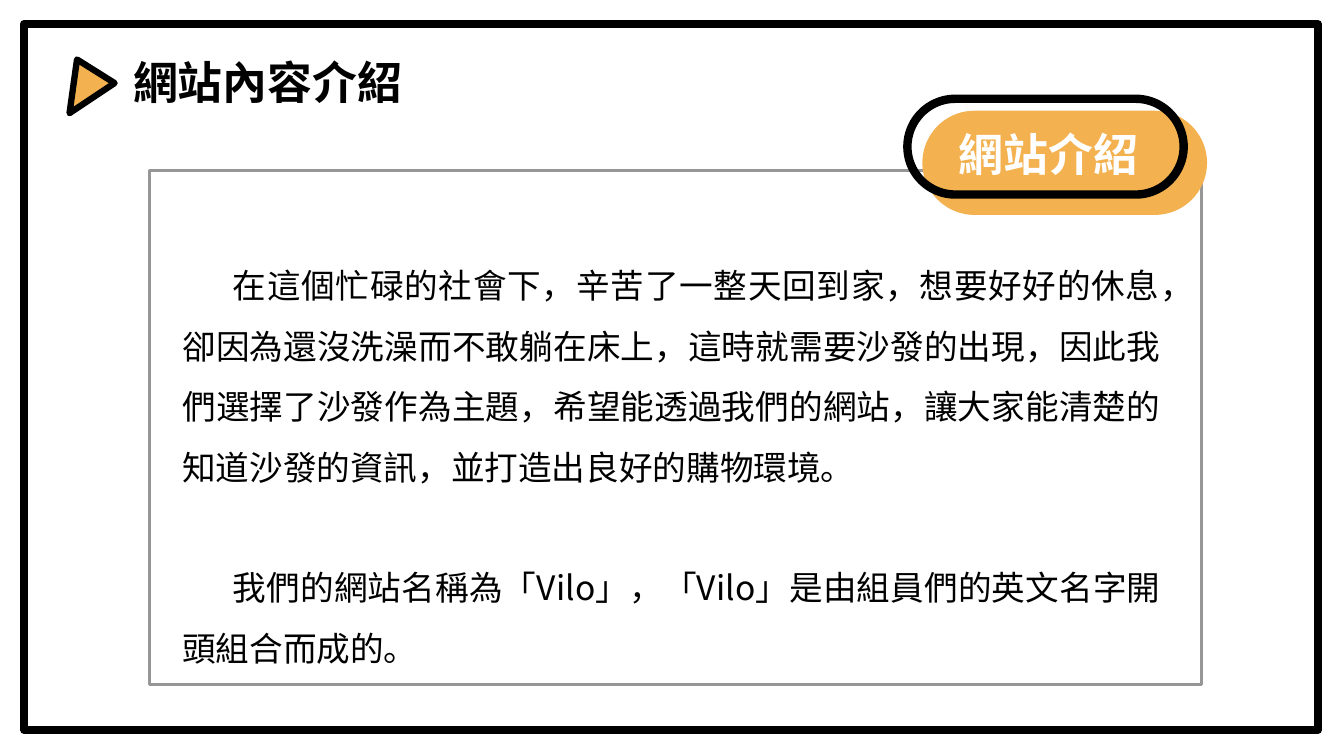
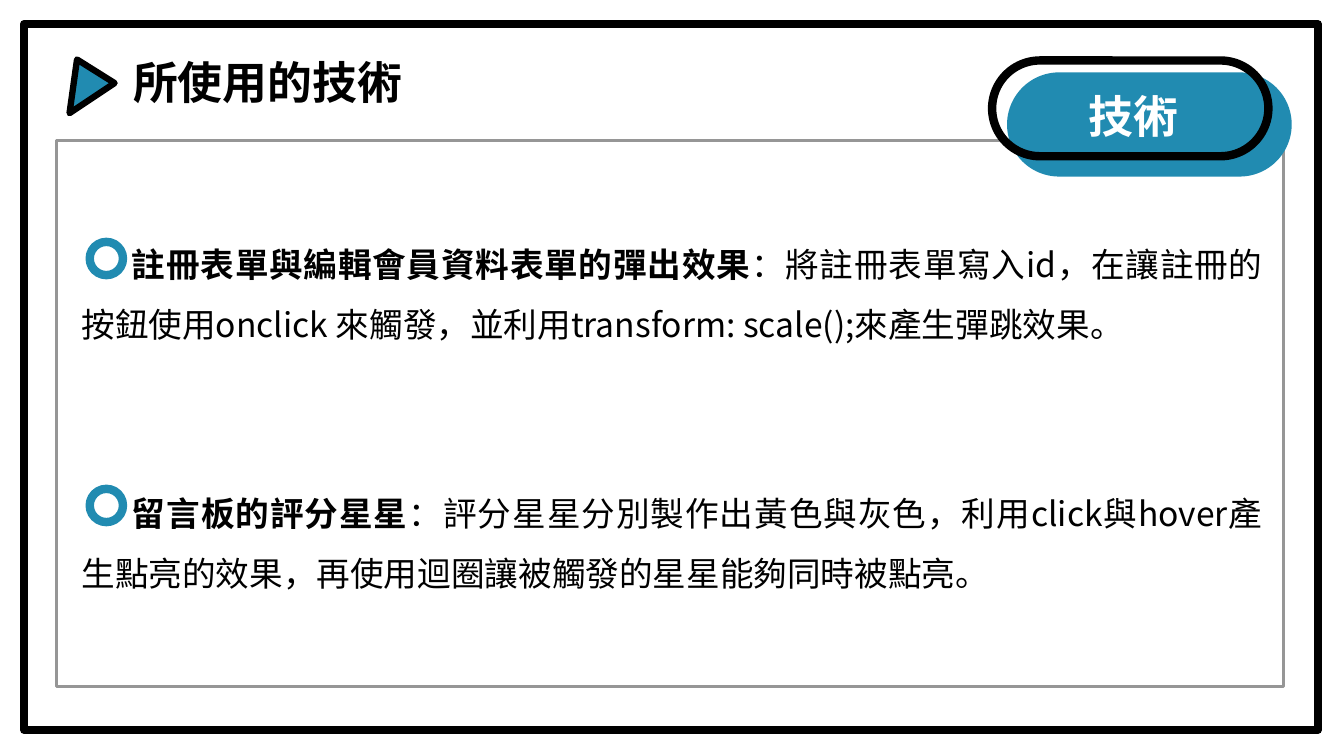
"""Build two framed slides about a website: its introduction and its techniques."""
import lxml.etree
import pptx
import pptx.dml.color
import pptx.enum.shapes
import pptx.enum.text
import pptx.oxml.ns
import pptx.util

Inches = pptx.util.Inches
Pt = pptx.util.Pt
RGBColor = pptx.dml.color.RGBColor
MSO_SHAPE = pptx.enum.shapes.MSO_SHAPE
PP_ALIGN = pptx.enum.text.PP_ALIGN

BLACK = RGBColor(0x00, 0x00, 0x00)
WHITE = RGBColor(0xFF, 0xFF, 0xFF)
GREY = RGBColor(0x96, 0x96, 0x96)
ORANGE = RGBColor(0xF3, 0xB1, 0x50)
BLUE = RGBColor(0x21, 0x8B, 0xB1)
FONT = "Noto Sans CJK SC"

SLIDES = [
    {
        "title": "網站內容介紹",
        "accent": ORANGE,
        "panel": (1.48, 1.69, 10.44, 5.1),
        "badge": ("網站介紹", 9, 0.98),
        "body": (1.71, 2.38, 9.9, 4.27),
        "space_before": 0,
        "space_after": 43.2,
        "paragraphs": [
            ("", "在這個忙碌的社會下，辛苦了一整天回到家，想要好好的休息，"
                 "卻因為還沒洗澡而不敢躺在床上，這時就需要沙發的出現，"
                 "因此我們選擇了沙發作為主題，希望能透過我們的網站，"
                 "讓大家能清楚的知道沙發的資訊，並打造出良好的購物環境。"),
            ("", "我們的網站名稱為「Vilo」，「Vilo」是由組員們的英文名字開頭組合而成的。"),
        ],
        "rings": [],
    },
    {
        "title": "所使用的技術",
        "accent": BLUE,
        "panel": (0.56, 1.39, 12.17, 5.42),
        "badge": ("技術", 9.84, 0.6),
        "body": (0.71, 2.17, 11.91, 3.73),
        "space_before": 6,
        "space_after": 85.2,
        "paragraphs": [
            ("註冊表單與編輯會員資料表單的彈出效果",
             "：將註冊表單寫入id，在讓註冊的按鈕使用onclick 來觸發，"
             "並利用transform: scale();來產生彈跳效果。"),
            ("留言板的評分星星",
             "：評分星星分別製作出黃色與灰色，利用click與hover產生點亮的效果，"
             "再使用迴圈讓被觸發的星星能夠同時被點亮。"),
        ],
        "rings": [2.4, 4.85],
    },
]


def draw(shapes, kind, box, fill, line, width):
    """Add a preset shape; a fill of None leaves it hollow."""
    shape = shapes.add_shape(kind, *map(Inches, box))
    shape.shadow.inherit = False
    if fill is None:
        shape.fill.background()
    else:
        shape.fill.solid()
        shape.fill.fore_color.rgb = fill
    shape.line.color.rgb = line
    shape.line.width = Pt(width)
    return shape


def style(paragraph, size, color, align, bold=None):
    """Set a paragraph's alignment and its Latin and East Asian font."""
    paragraph.alignment = align
    font = paragraph.font
    font.size = Pt(size)
    font.bold = bold
    font.color.rgb = color
    font.name = FONT
    lxml.etree.SubElement(font._element, pptx.oxml.ns.qn("a:ea"), typeface=FONT)


deck = pptx.Presentation()
deck.slide_width = Inches(13.33)
deck.slide_height = Inches(7.5)

for content in SLIDES:
    slide = deck.slides.add_slide(deck.slide_layouts[5])
    accent = content["accent"]

    title = slide.shapes.title
    title.left, title.top, title.width, title.height = map(Inches, (1.22, 0.49, 5.77, 0.64))
    title.text_frame.text = content["title"]
    title.text_frame.word_wrap = True
    title.text_frame.auto_size = pptx.enum.text.MSO_AUTO_SIZE.NONE
    title.text_frame.vertical_anchor = pptx.enum.text.MSO_ANCHOR.TOP
    style(title.text_frame.paragraphs[0], 32, BLACK, PP_ALIGN.LEFT, True)

    draw(slide.shapes, MSO_SHAPE.RECTANGLE, (0.24, 0.24, 12.83, 7), None, BLACK, 6)
    marker = draw(slide.shapes, MSO_SHAPE.ISOSCELES_TRIANGLE,
                  (0.6, 0.67, 0.44, 0.49), accent, BLACK, 4.5)
    marker.rotation = 32.1
    marker._element.spPr.xfrm.set("flipV", "1")
    draw(slide.shapes, MSO_SHAPE.RECTANGLE, content["panel"], WHITE, GREY, 2)

    label, left, top = content["badge"]
    badge = slide.shapes.add_group_shape()
    for dx, dy, fill, line in [(0.19, 0.16, accent, accent), (0, 0, None, BLACK)]:
        pill = draw(badge.shapes, MSO_SHAPE.ROUNDED_RECTANGLE,
                    (left + dx, top + dy, 2.74, 0.95), fill, line, 6)
        pill.adjustments[0] = 0.5
    caption = badge.shapes.add_textbox(
        *map(Inches, (left + 0.19, top + 0.23, 2.42, 0.64))).text_frame
    caption.word_wrap = True
    caption.text = label
    style(caption.paragraphs[0], 32, WHITE, PP_ALIGN.CENTER, True)

    body = slide.shapes.add_textbox(*map(Inches, content["body"])).text_frame
    body.word_wrap = True
    for index, (heading, detail) in enumerate(content["paragraphs"]):
        paragraph = body.add_paragraph() if index else body.paragraphs[0]
        style(paragraph, 24, BLACK, PP_ALIGN.JUSTIFY)
        paragraph.line_spacing = 1.5
        paragraph.space_before = Pt(content["space_before"])
        if index < len(content["paragraphs"]) - 1:
            paragraph.space_after = Pt(content["space_after"])
        paragraph._p.get_or_add_pPr().set("indent", str(Inches(0.5)))
        if heading:
            lead = paragraph.add_run()
            lead.text = heading
            lead.font.bold = True
        paragraph.add_run().text = detail

    for ring_top in content["rings"]:
        draw(slide.shapes, MSO_SHAPE.OVAL, (0.89, ring_top, 0.33, 0.33), None, accent, 6)

deck.save("out.pptx")
